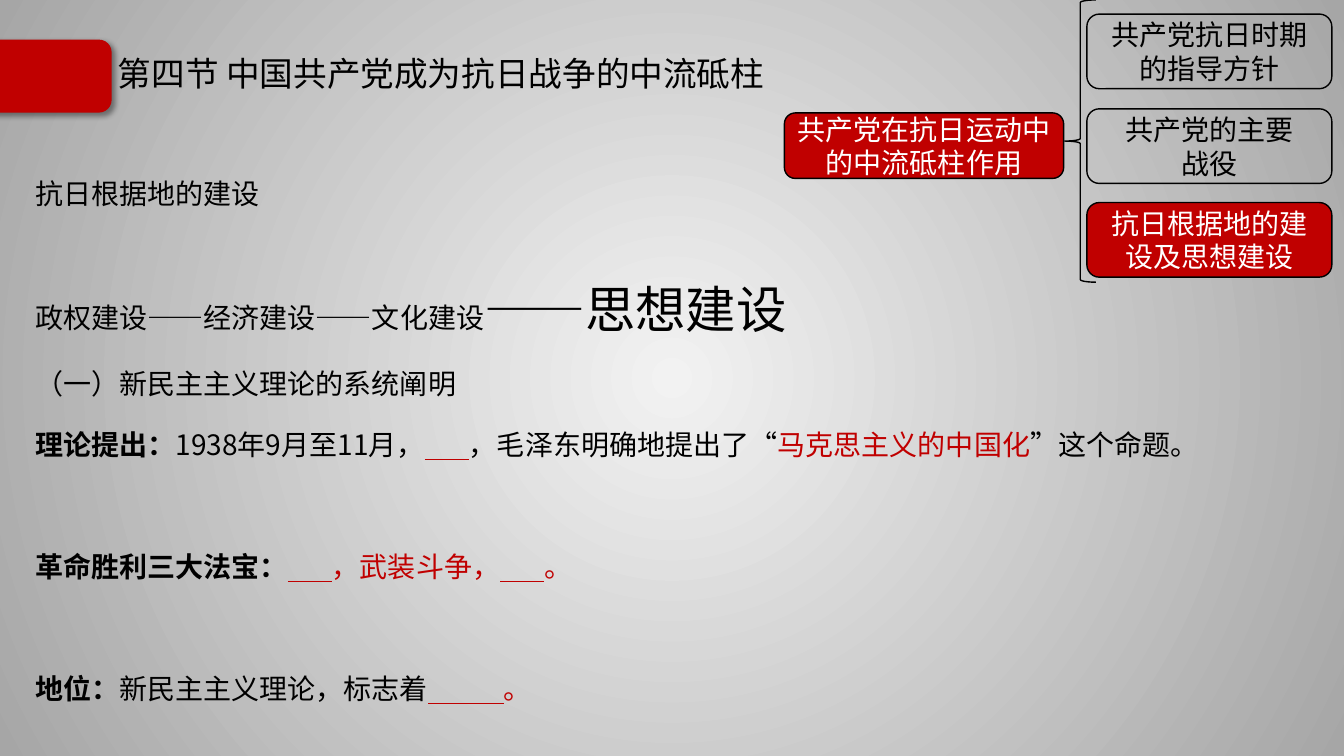
"""Build the lesson slide on theory building in the base areas."""
from lxml.etree import SubElement
from pptx import Presentation
from pptx.dml.color import RGBColor
from pptx.enum.shapes import MSO_SHAPE
from pptx.enum.text import MSO_ANCHOR, MSO_AUTO_SIZE, PP_ALIGN
from pptx.oxml import parse_xml
from pptx.oxml.ns import nsdecls, qn
from pptx.util import Inches, Pt

RED, BLACK, WHITE = "C00000", "000000", "FFFFFF"
TITLE_FONT, BODY_FONT = "Noto Sans CJK JP", "Noto Sans CJK SC"


def color(value):
    return RGBColor.from_string(value)


def add_run(paragraph, text, font_color=BLACK, name=BODY_FONT, **formats):
    run = paragraph.add_run()
    run.text = text
    for attribute, value in ({"name": name, "size": Pt(20)} | formats).items():
        setattr(run.font, attribute, value)
    run.font.color.rgb = color(font_color)
    SubElement(run.font._element, qn("a:ea")).set("typeface", name)


presentation = Presentation()
presentation.slide_width = Inches(13.33)
presentation.slide_height = Inches(7.5)
slide = presentation.slides.add_slide(presentation.slide_layouts[1])

slide.background.fill.solid()
background = slide.background._cSld.find(qn("p:bg")).find(qn("p:bgPr"))
background.replace(background[0], parse_xml(
    f'<a:gradFill {nsdecls("a")} rotWithShape="1"><a:gsLst>'
    '<a:gs pos="0"><a:srgbClr val="F2F2F2"/></a:gs>'
    '<a:gs pos="100000"><a:srgbClr val="A6A6A6"/></a:gs></a:gsLst>'
    '<a:path path="circle"><a:fillToRect l="50000" t="50000" r="50000" b="50000"/></a:path>'
    '</a:gradFill>'))

tab = slide.shapes.add_shape(
    MSO_SHAPE.ROUNDED_RECTANGLE, Inches(-0.18), Inches(0.4), Inches(1.28), Inches(0.71))
tab.fill.solid()
tab.fill.fore_color.rgb = color(RED)
tab.line.color.rgb = color(RED)
tab.line.width = Pt(1)
tab._element.spPr.append(parse_xml(
    f'<a:effectLst {nsdecls("a")}><a:outerShdw blurRad="50800" dist="38100" dir="2700000" '
    'algn="tl" rotWithShape="0"><a:srgbClr val="000000"><a:alpha val="40000"/></a:srgbClr>'
    '</a:outerShdw></a:effectLst>'))

title, body = slide.placeholders
for placeholder, box, anchor in (
        (title, (1.07, 0.46, 7.17, 0.59), MSO_ANCHOR.MIDDLE),
        (body, (0.25, 1.4, 12.78, 5.73), MSO_ANCHOR.TOP)):
    for side, value in zip(("left", "top", "width", "height"), box):
        setattr(placeholder, side, Inches(value))
    placeholder.text_frame.auto_size = MSO_AUTO_SIZE.NONE
    placeholder.text_frame.vertical_anchor = anchor

paragraph = title.text_frame.paragraphs[0]
paragraph.alignment = PP_ALIGN.LEFT
paragraph.line_spacing = 0.9
add_run(paragraph, "第四节 中国共产党成为抗日战争的中流砥柱", name=TITLE_FONT, size=Pt(24))

BOLD, LARGE, UNDERLINED = {"bold": True}, {"size": Pt(36)}, {"underline": True}
SHORT_BLANK = (" " * 7, RED, UNDERLINED)
LONG_BLANK = (" " * 12, RED, UNDERLINED)
lines = [
    (1.9, 10, [("抗日根据地的建设", BLACK, {})]),
    (1.9, 10, [("政权建设——经济建设——文化建设", BLACK, {}), ("——思想建设", BLACK, LARGE)]),
    (1.4, 10, [("（一）新民主主义理论的系统阐明", BLACK, {})]),
    (1.4, 10, [
        ("理论提出：", BLACK, BOLD), ("1938年9月至11月，", BLACK, {}), SHORT_BLANK,
        ("，毛泽东明确地提出了“", BLACK, {}), ("马克思主义的中国化", RED, {}),
        ("”这个命题。", BLACK, {})]),
    (1.4, 53.5, [
        ("革命胜利三大法宝：", BLACK, BOLD), SHORT_BLANK, ("，武装斗争，", RED, {}),
        SHORT_BLANK, ("。", RED, {})]),
    (1.4, 53.5, [
        ("地位：", BLACK, BOLD), ("新民主主义理论，标志着", BLACK, {}),
        LONG_BLANK, ("。", RED, {})]),
]
for number, (line_spacing, space_before, runs) in enumerate(lines):
    paragraph = body.text_frame.add_paragraph() if number else body.text_frame.paragraphs[0]
    paragraph.line_spacing = line_spacing
    paragraph.space_before = Pt(space_before)
    properties = paragraph._p.get_or_add_pPr()
    properties.set("marL", "0")
    properties.set("indent", "0")
    SubElement(properties, qn("a:buNone"))
    for text, font_color, formats in runs:
        add_run(paragraph, text, font_color, **formats)

diagram = slide.shapes.add_group_shape()
topics = [
    ((7.78, 1.12, 2.77, 0.65), ["共产党在抗日运动中的中流砥柱作用"], True),
    ((10.78, 0.14, 2.43, 0.74), ["共产党抗日时期的指导方针"], False),
    ((10.78, 1.08, 2.43, 0.74), ["共产党的主要", "战役"], False),
    ((10.78, 2.01, 2.43, 0.74), ["抗日根据地的建设及思想建设"], True),
]
brace = diagram.shapes.add_shape(
    MSO_SHAPE.LEFT_BRACE, Inches(10.56), Inches(0), Inches(0.31), Inches(2.8))
brace.fill.background()
for box, texts, highlighted in topics:
    shape = diagram.shapes.add_shape(MSO_SHAPE.ROUNDED_RECTANGLE, *map(Inches, box))
    if highlighted:
        shape.fill.solid()
        shape.fill.fore_color.rgb = color(RED)
    else:
        shape.fill.background()
    frame = shape.text_frame
    frame.word_wrap = True
    frame.vertical_anchor = MSO_ANCHOR.MIDDLE
    for number, text in enumerate(texts):
        paragraph = frame.add_paragraph() if number else frame.paragraphs[0]
        paragraph.alignment = PP_ALIGN.CENTER
        add_run(paragraph, text, WHITE if highlighted else BLACK)
for shape in diagram.shapes:
    shape.shadow.inherit = False
    shape.line.color.rgb = color(BLACK)
    shape.line.width = Pt(1)

presentation.save("out.pptx")
